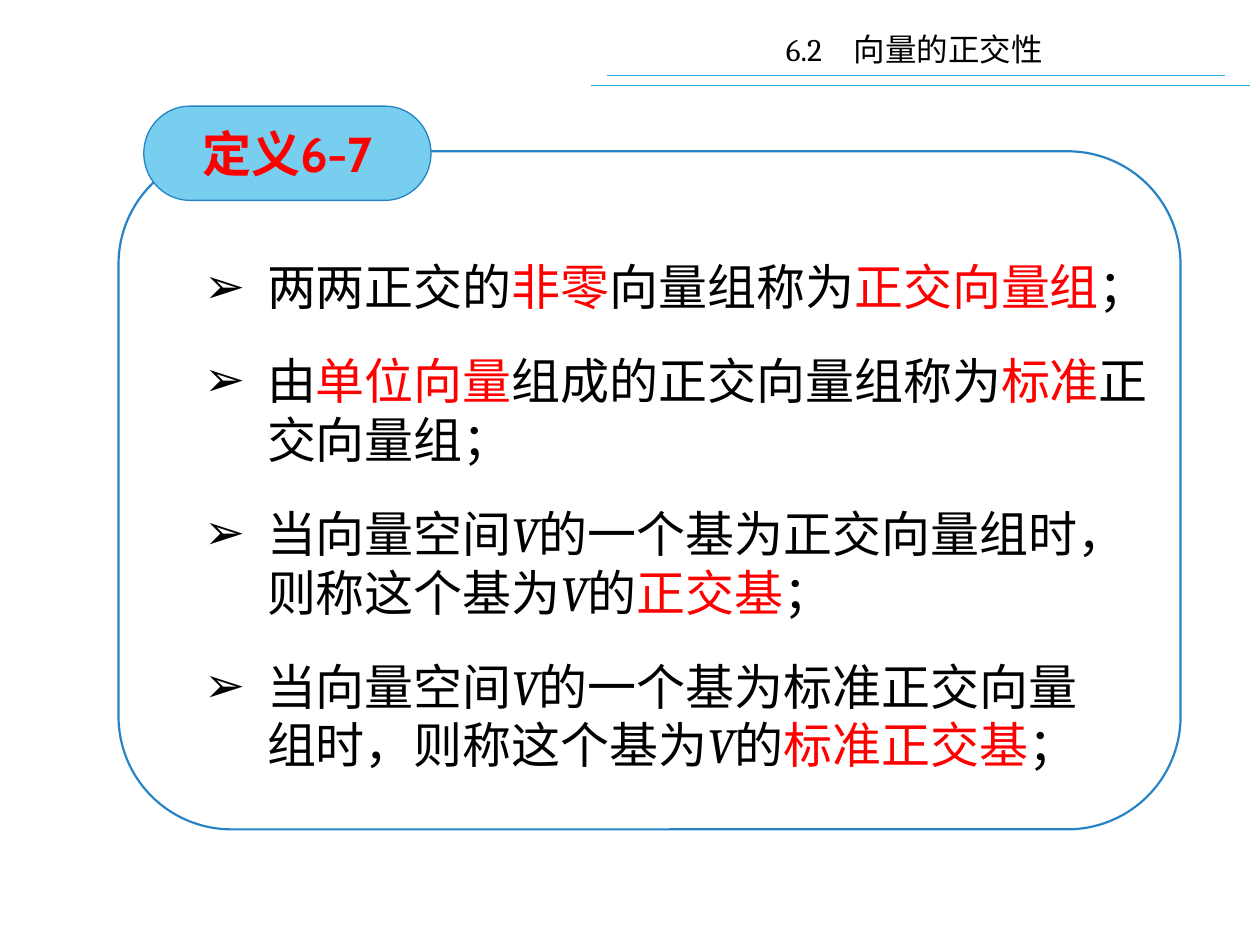
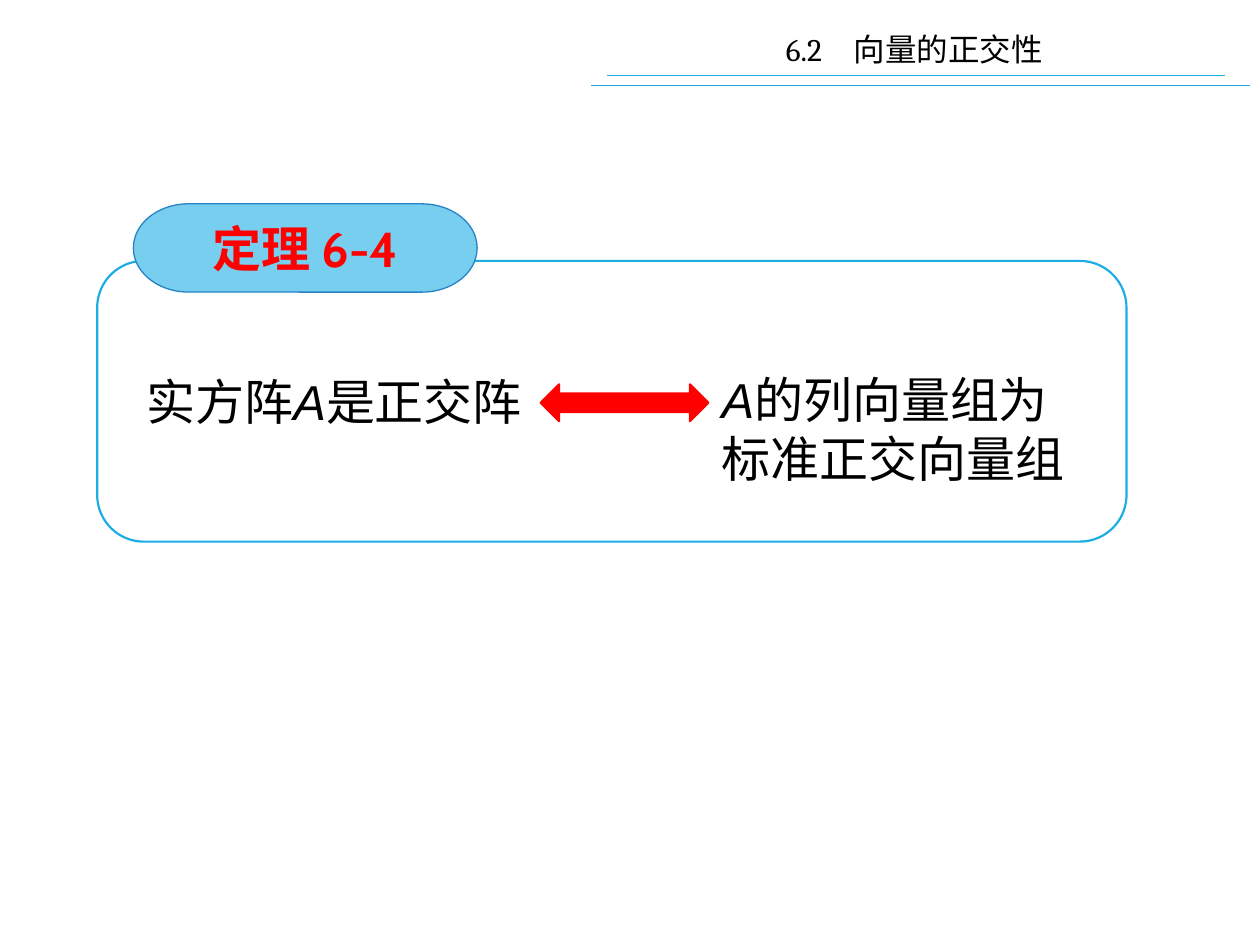
import lxml.etree
import pptx
import pptx.dml.color
import pptx.enum.shapes
import pptx.enum.text
import pptx.oxml.ns
import pptx.util

Cm = pptx.util.Cm
Pt = pptx.util.Pt
SHAPES = pptx.enum.shapes.MSO_SHAPE
ALIGN = pptx.enum.text.PP_ALIGN
ANCHOR = pptx.enum.text.MSO_ANCHOR

BLACK, WHITE, RED = "000000", "FFFFFF", "FF0000"
SKY, BLUE, CYAN = "77CEEF", "2683C6", "1CADE4"
SECTION = "6.2　向量的正交性"
LINE_BREAK = ("", None, False)

DEFINITIONS = [
    ["两两正交的", ("非零", RED, False), "向量组称为", ("正交向量组", RED, False), "；"],
    ["由", ("单位向量", RED, False), "组成的正交向量组称为", ("标准", RED, False), "正交向量组；"],
    ["当向量空间", ("V", BLACK, True), "的一个基为正交向量组时，则称这个基为",
     ("V", BLACK, True), "的", ("正交基", RED, False), "；"],
    ["当向量空间", ("V", BLACK, True), "的一个基为标准正交向量", LINE_BREAK, "组时，则称这个基为",
     ("V", BLACK, True), "的", ("标准正交基", RED, False), "；"],
]


def paint(color_format, hex_color):
    color_format.rgb = pptx.dml.color.RGBColor.from_string(hex_color)


def place(shape, left, top, width, height):
    shape.left, shape.top = Cm(left), Cm(top)
    shape.width, shape.height = Cm(width), Cm(height)


def write(paragraph, pieces, font_name, size=28, align=ALIGN.LEFT, bold=False):
    paragraph.alignment = align
    paragraph.font.name = font_name
    paragraph.font.size = Pt(size)
    paragraph.font.bold = bold
    for piece in pieces:
        if piece == LINE_BREAK:
            paragraph.add_line_break()
            continue
        text, color, italic = (piece, BLACK, False) if isinstance(piece, str) else piece
        run = paragraph.add_run()
        run.text = text
        run.font.italic = italic
        paint(run.font.color, color)


def add_outlined(slide, preset, box, fill, line, line_width):
    shape = slide.shapes.add_shape(preset, *[Cm(length) for length in box])
    shape.shadow.inherit = False
    shape.fill.solid()
    paint(shape.fill.fore_color, fill)
    paint(shape.line.color, line)
    shape.line.width = Pt(line_width)
    return shape


def add_rule(slide, left, right, height):
    rule = slide.shapes.add_connector(
        pptx.enum.shapes.MSO_CONNECTOR.STRAIGHT, Cm(left), Cm(height), Cm(right), Cm(height))
    paint(rule.line.color, CYAN)
    rule.line.width = Pt(0.75)
    properties = rule.element.find(pptx.oxml.ns.qn("p:spPr"))
    lxml.etree.SubElement(properties, pptx.oxml.ns.qn("a:effectLst"))


def add_header(slide):
    heading = slide.shapes.title
    place(heading, 12.7, 0.48, 11.46, 1.02)
    heading.text_frame.vertical_anchor = ANCHOR.MIDDLE
    heading.text_frame.auto_size = pptx.enum.text.MSO_AUTO_SIZE.NONE
    write(heading.text_frame.paragraphs[0], [SECTION], "Cambria", 18, ALIGN.CENTER)
    add_rule(slide, 12.24, 24.69, 1.52)
    add_rule(slide, 11.91, 25.2, 1.73)


def add_panel(slide, box, line, label, label_offset):
    left, top = box[:2]
    dx, dy, width, height = label_offset
    panel = add_outlined(slide, SHAPES.ROUNDED_RECTANGLE, box, WHITE, line, 1.25)
    slide.shapes.title.element.addprevious(panel.element)
    tag = add_outlined(slide, SHAPES.FLOWCHART_TERMINATOR,
                       (left + dx, top + dy, width, height), SKY, BLUE, 0.75)
    tag.text_frame.vertical_anchor = ANCHOR.MIDDLE
    write(tag.text_frame.paragraphs[0], [(label, RED, False)], "Cabin",
          align=ALIGN.CENTER, bold=True)
    return panel


def add_arrow_bullet(paragraph):
    properties = paragraph._p.get_or_add_pPr()
    properties.set("marL", str(Cm(1.27)))
    properties.set("indent", str(-Cm(1.27)))
    bullet = lxml.etree.SubElement(properties, pptx.oxml.ns.qn("a:buChar"))
    bullet.set("char", "➢")


def fill_definitions(body, left, top):
    place(body, left + 1.47, top + 2, 19.65, 11.6)
    frame = body.text_frame
    frame.auto_size = pptx.enum.text.MSO_AUTO_SIZE.NONE
    for index, pieces in enumerate(DEFINITIONS):
        paragraph = frame.add_paragraph() if index else frame.paragraphs[0]
        add_arrow_bullet(paragraph)
        paragraph.space_before = Pt(20 if index else 0)
        write(paragraph, pieces, "Cambria")


def add_equivalence(slide, panel, left, top):
    premise = panel.text_frame
    premise.margin_left = Cm(0.72)
    premise.vertical_anchor = ANCHOR.MIDDLE
    write(premise.paragraphs[0], ["实方阵", ("A", BLACK, True), "是正交阵"], "Arial")

    add_outlined(slide, SHAPES.LEFT_RIGHT_ARROW,
                 (left + 8.94, top + 2.49, 3.38, 0.74), RED, RED, 1.25)

    conclusion = slide.shapes.add_textbox(
        Cm(left + 12.34), Cm(top + 2.06), Cm(8), Cm(2.64)).text_frame
    conclusion.word_wrap = True
    write(conclusion.paragraphs[0], [("A", BLACK, True), "的列向量组为标准正交向量组"], "Arial")


def build_definition_slide(deck):
    slide = deck.slides.add_slide(deck.slide_layouts[1])
    box = (2.39, 3.05, 21.41, 13.67)
    add_header(slide)
    add_panel(slide, box, BLUE, "定义6-7", (0.51, -0.91, 5.79, 1.9))
    fill_definitions(slide.placeholders[1], *box[:2])


def build_theorem_slide(deck):
    slide = deck.slides.add_slide(deck.slide_layouts[5])
    box = (1.96, 5.26, 20.75, 5.66)
    add_header(slide)
    panel = add_panel(slide, box, CYAN, "定理 6-4", (0.73, -1.15, 6.93, 1.78))
    add_equivalence(slide, panel, *box[:2])


def main():
    deck = pptx.Presentation()
    deck.slide_width, deck.slide_height = Cm(25.4), Cm(19.05)
    build_definition_slide(deck)
    build_theorem_slide(deck)
    deck.save("out.pptx")


if __name__ == "__main__":
    main()
